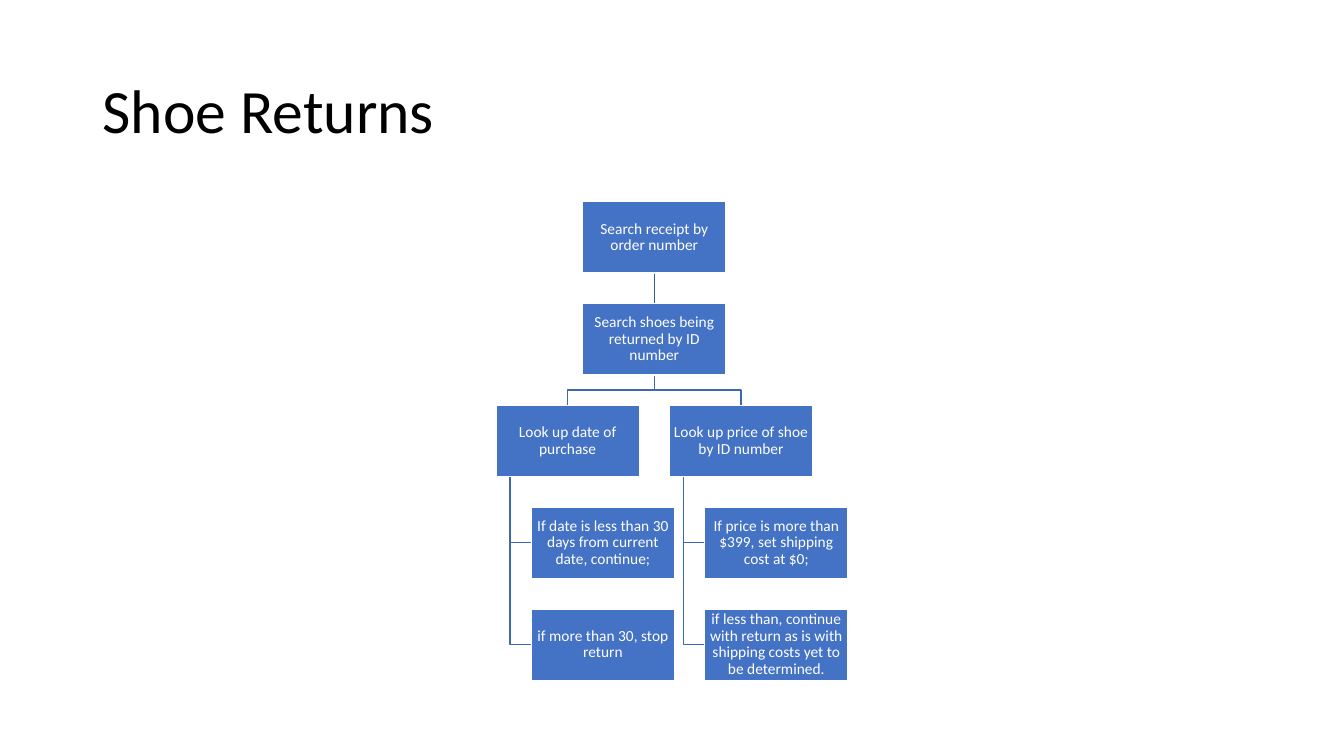
"""Build the Shoe Returns flow chart slide."""
from dataclasses import dataclass
from typing import Optional

from lxml.etree import SubElement
from pptx import Presentation
from pptx.dml.color import RGBColor
from pptx.enum.shapes import MSO_CONNECTOR as Connector, MSO_SHAPE as Shape
from pptx.enum.text import MSO_ANCHOR as Anchor, PP_ALIGN as Align
from pptx.oxml.ns import qn
from pptx.shapes.shapetree import SlideShapes
from pptx.text.text import TextFrame
from pptx.util import Inches, Pt

BLACK = RGBColor(0x00, 0x00, 0x00)
WHITE = RGBColor(0xFF, 0xFF, 0xFF)
BLUE = RGBColor(0x44, 0x72, 0xC4)
BRANCH_BLUE = RGBColor(0x3E, 0x67, 0xB2)
TRUNK_BLUE = RGBColor(0x36, 0x5B, 0x9D)

FONT = "Calibri"
BOX_WIDTH, BOX_HEIGHT = 1.42, 0.71
FIRST_TOP, ROW_PITCH = 2.0, 1.01
ROW_GAP = ROW_PITCH - BOX_HEIGHT
DATE_LEFT, PRICE_LEFT, TRUNK_LEFT = 4.92, 6.64, 5.78
INDENT, STEM_INSET = 0.35, 0.14

Point = tuple[float, float]


@dataclass(frozen=True)
class Step:
    """One box of the flow chart and the box it follows."""
    text: str
    left: float
    row: int
    parent: Optional["Step"] = None
    hangs: bool = False

    @property
    def top(self) -> float:
        return FIRST_TOP + self.row * ROW_PITCH

    @property
    def bottom(self) -> float:
        return self.top + BOX_HEIGHT

    @property
    def center(self) -> float:
        return self.left + BOX_WIDTH / 2


RECEIPT = Step("Search receipt by order number", TRUNK_LEFT, 0)
SHOES = Step("Search shoes being returned by ID number", TRUNK_LEFT, 1, RECEIPT)
DATE = Step("Look up date of purchase", DATE_LEFT, 2, SHOES)
PRICE = Step("Look up price of shoe by ID number", PRICE_LEFT, 2, SHOES)
STEPS = [
    RECEIPT,
    SHOES,
    DATE,
    Step("If date is less than 30 days from current date, continue;",
         DATE_LEFT + INDENT, 3, DATE, hangs=True),
    Step("if more than 30, stop return",
         DATE_LEFT + INDENT, 4, DATE, hangs=True),
    PRICE,
    Step("If price is more than $399, set shipping cost at $0;",
         PRICE_LEFT + INDENT, 3, PRICE, hangs=True),
    Step("if less than, continue with return as is with shipping costs "
         "yet to be determined.",
         PRICE_LEFT + INDENT, 4, PRICE, hangs=True),
]


def write_text(frame: TextFrame, text: str, *, size: float, color: RGBColor,
               align: Align = Align.LEFT, margins: Point = (0.1, 0.05)) -> None:
    """Fill a frame with one formatted paragraph."""
    frame.word_wrap = True
    frame.vertical_anchor = Anchor.MIDDLE
    frame.margin_left = frame.margin_right = Inches(margins[0])
    frame.margin_top = frame.margin_bottom = Inches(margins[1])
    para = frame.paragraphs[0]
    para.alignment = align
    para.line_spacing = 0.9
    span = para.add_run()
    span.text = text
    span.font.name = FONT
    span.font.size = Pt(size)
    span.font.color.rgb = color


def route(parent: Step, child: Step) -> list[Point]:
    """Return the corners of the line from a parent to its child."""
    if child.hangs:
        stem = parent.left + STEM_INSET
        middle = child.top + BOX_HEIGHT / 2
        return [(stem, parent.bottom), (stem, middle), (child.left, middle)]
    if child.left == parent.left:
        return [(parent.center, parent.bottom), (child.center, child.top)]
    bend = parent.bottom + ROW_GAP / 2
    return [(parent.center, parent.bottom), (parent.center, bend),
            (child.center, bend), (child.center, child.top)]


def draw_link(shapes: SlideShapes, points: list[Point]) -> None:
    """Draw a straight trunk line or a bent branch line."""
    start, *corners = [(Inches(x), Inches(y)) for x, y in points]
    if len(corners) == 1:
        link = shapes.add_connector(Connector.STRAIGHT, *start, *corners[0])
        link.line.color.rgb = TRUNK_BLUE
        link.line.width = Pt(1)
        SubElement(link._element.spPr, qn("a:effectLst"))
        return
    builder = shapes.build_freeform(*start)
    builder.add_line_segments(corners, close=False)
    link = builder.convert_to_shape()
    link.shadow.inherit = False
    link.fill.background()
    link.line.color.rgb = BRANCH_BLUE
    link.line.width = Pt(1)


def draw_step(shapes: SlideShapes, step: Step) -> None:
    """Draw one box with its text."""
    box = shapes.add_shape(Shape.RECTANGLE, Inches(step.left), Inches(step.top),
                           Inches(BOX_WIDTH), Inches(BOX_HEIGHT))
    box.shadow.inherit = False
    box.fill.solid()
    box.fill.fore_color.rgb = BLUE
    box.line.color.rgb = WHITE
    box.line.width = Pt(1)
    write_text(box.text_frame, step.text, size=11, color=WHITE,
               align=Align.CENTER, margins=(0.01, 0.01))


def main() -> None:
    """Build and save the deck."""
    deck = Presentation()
    deck.slide_width, deck.slide_height = Inches(13.33), Inches(7.5)
    page = deck.slides.add_slide(deck.slide_layouts[6])
    title = page.shapes.add_textbox(Inches(0.92), Inches(0.4),
                                    Inches(11.5), Inches(1.45))
    write_text(title.text_frame, "Shoe Returns", size=44, color=BLACK)
    for step in STEPS:
        if step.parent:
            draw_link(page.shapes, route(step.parent, step))
    for step in STEPS:
        draw_step(page.shapes, step)
    deck.save("out.pptx")


if __name__ == "__main__":
    main()
